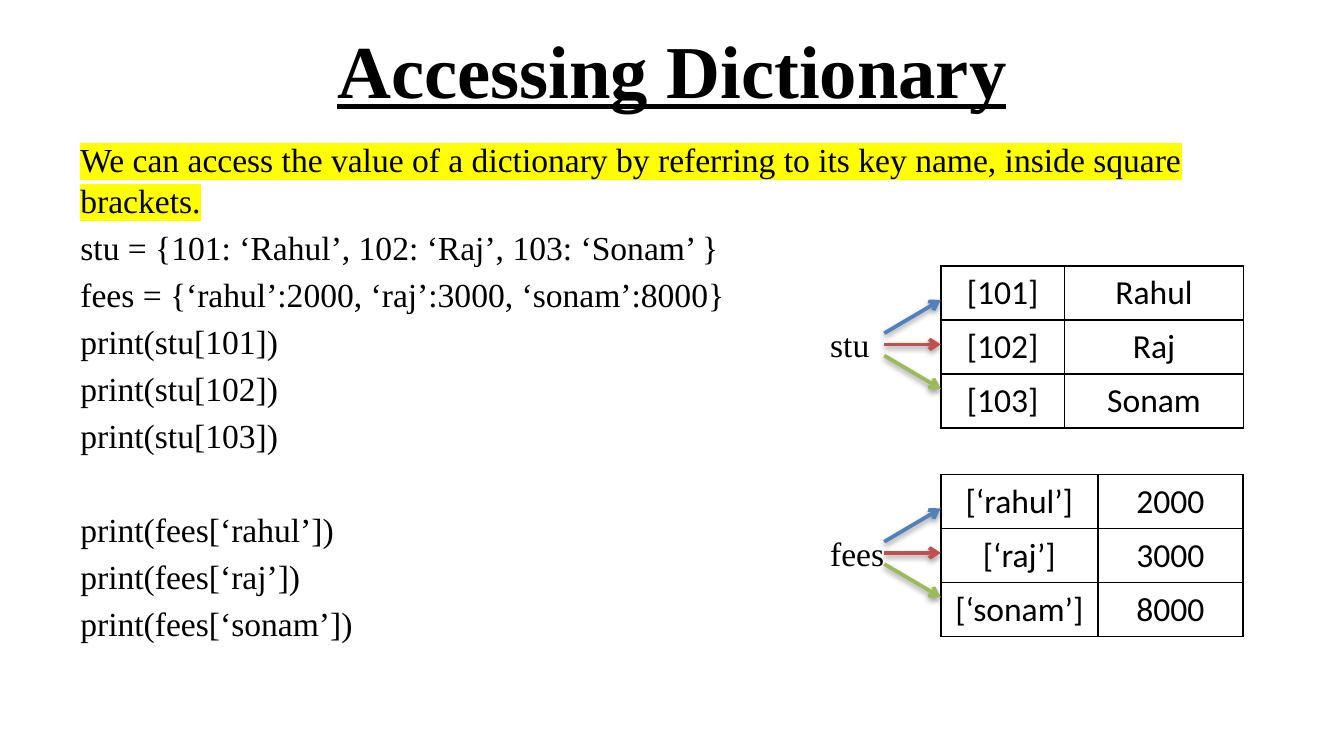
from dataclasses import dataclass

from lxml.etree import SubElement
from pptx import Presentation
from pptx.dml.color import RGBColor
from pptx.enum.shapes import MSO_CONNECTOR
from pptx.enum.text import MSO_ANCHOR, MSO_AUTO_SIZE, PP_ALIGN
from pptx.oxml import parse_xml
from pptx.oxml.ns import nsdecls, qn
from pptx.util import Cm, Pt


@dataclass(frozen=True)
class Theme:
    ink: str = "000000"
    marker: str = "FFFF00"
    arrows: tuple = ("4F81BD", "C0504D", "9BBB59")
    serif: str = "Times New Roman"
    sans: str = "Calibri"
    title_size: int = 40
    text_size: int = 18
    line_height: int = 22
    paragraph_gap: float = 3.2
    arrow_width: int = 2
    border_width: int = 1


class SlideBuilder:
    def __init__(self, page, theme):
        self.page = page
        self.theme = theme

    def apply(self, target, values):
        for name, value in values.items():
            setattr(target, name, value)

    def span(self, para, text, **values):
        theme = self.theme
        span = para.add_run()
        span.text = text
        style = {"name": theme.serif, "size": Pt(theme.text_size), **values}
        self.apply(span.font, style)
        span.font.color.rgb = RGBColor.from_string(theme.ink)
        return span

    def box(self, left, top, width, height, **values):
        box = self.page.shapes.add_textbox(Cm(left), Cm(top), Cm(width), Cm(height))
        self.apply(box.text_frame, {"word_wrap": True, **values})
        return box.text_frame

    def title(self, text, *place):
        frame = self.box(*place, vertical_anchor=MSO_ANCHOR.MIDDLE)
        para = frame.paragraphs[0]
        para.alignment = PP_ALIGN.CENTER
        self.span(para, text, size=Pt(self.theme.title_size), bold=True, underline=True)

    def label(self, text, left, top, width):
        frame = self.box(left, top, width, 1.02, word_wrap=False,
                         auto_size=MSO_AUTO_SIZE.SHAPE_TO_FIT_TEXT)
        self.span(frame.paragraphs[0], text)

    def highlight(self, span):
        marker = parse_xml(f'<a:highlight {nsdecls("a")}>'
                           f'<a:srgbClr val="{self.theme.marker}"/></a:highlight>')
        span.font.fill.solid()
        span.font.color.rgb = RGBColor.from_string(self.theme.ink)
        span._r.rPr.find(qn("a:latin")).addprevious(marker)

    def body(self, intro, blocks, *place):
        theme = self.theme
        frame = self.box(*place)
        para = frame.paragraphs[0]
        para.line_spacing = Pt(theme.line_height)
        self.highlight(self.span(para, intro))
        for block_index, lines in enumerate(blocks):
            for line_index, line in enumerate(lines):
                gap = theme.paragraph_gap
                if block_index and not line_index:
                    gap += theme.line_height + theme.paragraph_gap
                para = frame.add_paragraph()
                self.apply(para, {"line_spacing": Pt(theme.line_height),
                                  "space_before": Pt(gap)})
                self.span(para, line)

    def border(self, cell):
        theme = self.theme
        properties = cell._tc.get_or_add_tcPr()
        for index, side in enumerate(("lnL", "lnR", "lnT", "lnB")):
            line = parse_xml(f'<a:{side} {nsdecls("a")} w="{Pt(theme.border_width)}">'
                             f'<a:solidFill><a:srgbClr val="{theme.ink}"/></a:solidFill>'
                             f'</a:{side}>')
            properties.insert(index, line)

    def table(self, rows, left, top, widths, row_height):
        frame = self.page.shapes.add_table(len(rows), len(widths), Cm(left), Cm(top),
                                           Cm(sum(widths)), Cm(row_height * len(rows)))
        table = frame.table
        self.apply(table, {"first_row": False, "horz_banding": False})
        for column, width in zip(table.columns, widths):
            column.width = Cm(width)
        for row_index, row in enumerate(rows):
            for column_index, text in enumerate(row):
                cell = table.cell(row_index, column_index)
                cell.fill.background()
                self.border(cell)
                para = cell.text_frame.paragraphs[0]
                para.alignment = PP_ALIGN.CENTER
                self.span(para, text, name=self.theme.sans)

    def arrow(self, color, start, end):
        points = [Cm(value) for value in (*start, *end)]
        arrow = self.page.shapes.add_connector(MSO_CONNECTOR.STRAIGHT, *points)
        arrow.line.color.rgb = RGBColor.from_string(color)
        arrow.line.width = Pt(self.theme.arrow_width)
        properties = arrow._element.spPr
        SubElement(properties.find(qn("a:ln")), qn("a:tailEnd"), type="arrow")
        properties.append(parse_xml(
            f'<a:effectLst {nsdecls("a")}>'
            '<a:outerShdw blurRad="40000" dist="20000" dir="5400000" rotWithShape="0">'
            f'<a:srgbClr val="{self.theme.ink}"><a:alpha val="38000"/></a:srgbClr>'
            '</a:outerShdw></a:effectLst>'))

    def dictionary(self, name, rows, top, widths, label_width):
        table_left, arrow_left = 17.78, 16.71
        self.table(rows, table_left, top, widths, 1.02)
        self.label(name, 15.44, top + 0.97, label_width)
        offsets = ((1.27, 0.64), (1.48, 1.48), (1.69, 2.32))
        for color, (start, end) in zip(self.theme.arrows, offsets):
            self.arrow(color, (arrow_left, top + start), (table_left, top + end))


def main():
    deck = Presentation()
    deck.slide_width, deck.slide_height = Cm(25.4), Cm(14.29)
    page = deck.slides.add_slide(deck.slide_layouts[6])
    builder = SlideBuilder(page, Theme())

    builder.title("Accessing Dictionary", 1.27, 0.1, 22.86, 2.39)
    builder.body(
        "We can access the value of a dictionary by referring to its key name, "
        "inside square brackets.",
        [
            ["stu = {101: ‘Rahul’, 102: ‘Raj’, 103: ‘Sonam’ }",
             "fees = {‘rahul’:2000, ‘raj’:3000, ‘sonam’:8000}",
             "print(stu[101])", "print(stu[102])", "print(stu[103])"],
            ["print(fees[‘rahul’])", "print(fees[‘raj’])", "print(fees[‘sonam’])"],
        ],
        1.27, 2.49, 22.86, 10.36)
    builder.dictionary(
        "stu", [("[101]", "Rahul"), ("[102]", "Raj"), ("[103]", "Sonam")],
        5.03, (2.34, 3.38), 1.27)
    builder.dictionary(
        "fees", [("[‘rahul’]", "2000"), ("[‘raj’]", "3000"), ("[‘sonam’]", "8000")],
        8.97, (2.97, 2.74), 1.55)
    deck.save("out.pptx")


if __name__ == "__main__":
    main()
